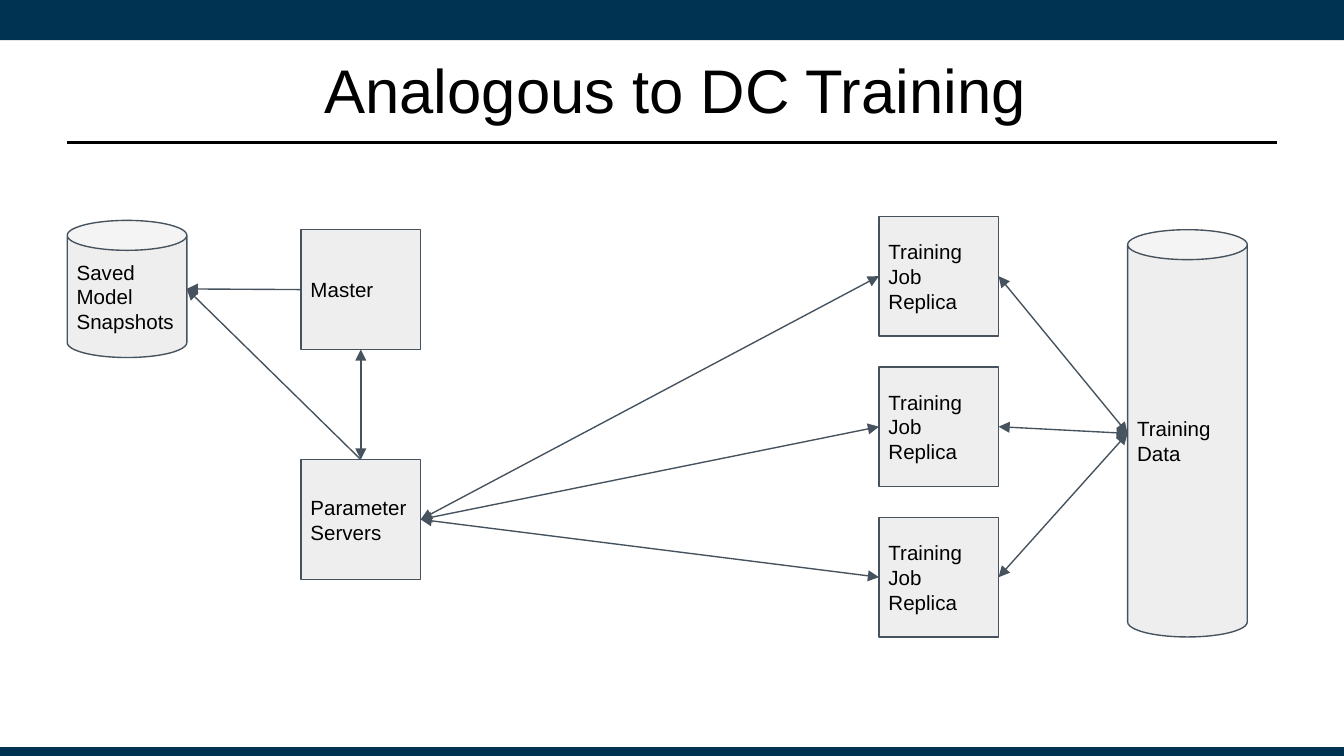
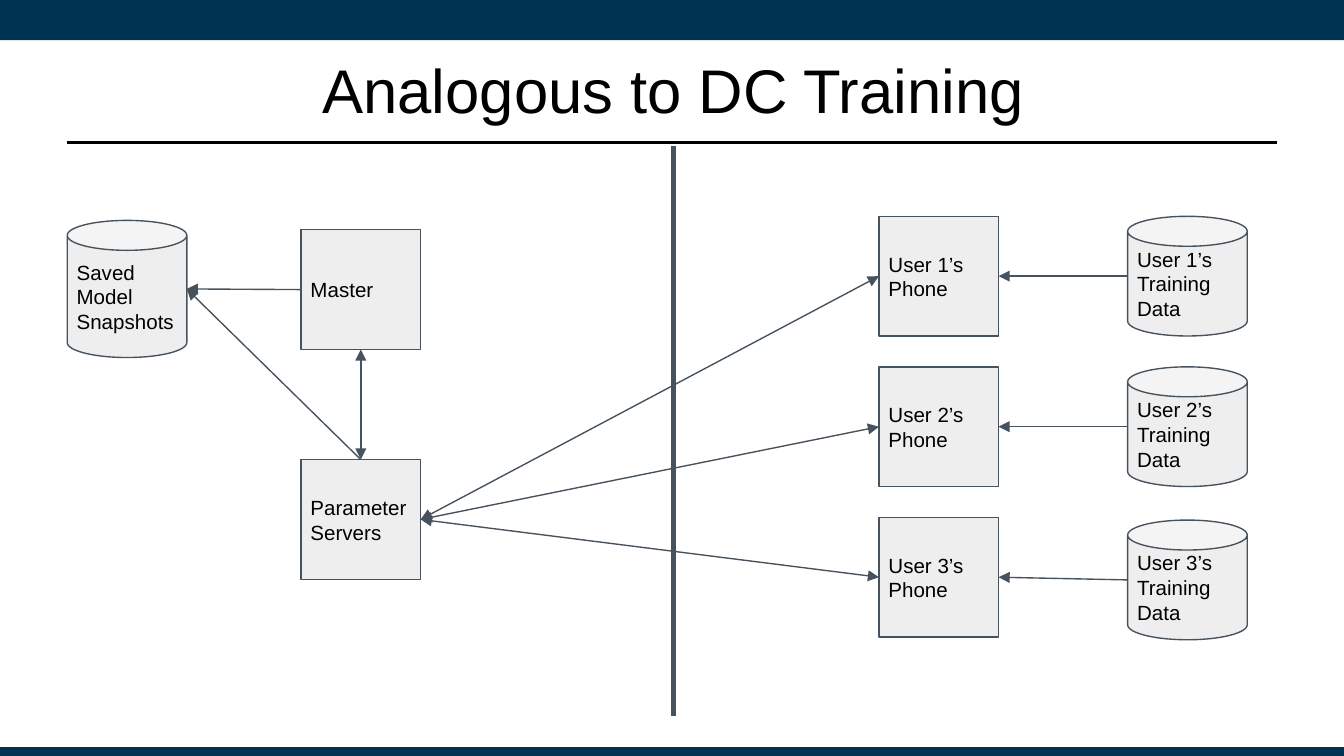
from dataclasses import dataclass

from lxml.etree import SubElement
from pptx import Presentation
from pptx.dml.color import RGBColor as RGB
from pptx.enum.shapes import MSO_CONNECTOR as Link, MSO_SHAPE as Kind
from pptx.enum.text import MSO_ANCHOR as Anchor, PP_ALIGN as Align
from pptx.oxml.ns import qn
from pptx.util import Inches, Pt


@dataclass(frozen=True)
class Theme:
    """Colours, type sizes and line widths of the deck."""
    band: RGB = RGB(0x00, 0x32, 0x52)
    ink: RGB = RGB(0, 0, 0)
    fill: RGB = RGB(0xEE, 0xEE, 0xEE)
    edge: RGB = RGB(0x46, 0x53, 0x5E)
    font: str = "Arial"
    title: float = 33
    label: float = 11
    thin: float = 0.75
    rule: float = 1.25
    thick: float = 3


THEME = Theme()
SIDE = 0.89
PAD = 0.07
JOB_X, DATA_X = 6.54, 8.39
JOB_TOPS = [1.61 + 1.12 * i for i in range(3)]


def write(shape, text, size, align=Align.LEFT, inset=PAD):
    """Put centred-height text with the theme font in a shape."""
    frame = shape.text_frame
    frame.word_wrap = True
    frame.vertical_anchor = Anchor.MIDDLE
    frame.margin_left = frame.margin_right = Inches(PAD)
    frame.margin_top = frame.margin_bottom = Inches(inset)
    frame.text = text
    for para in frame.paragraphs:
        para.alignment = align
        para.font.name = THEME.font
        para.font.size = Pt(size)
        para.font.color.rgb = THEME.ink


def block(slide, kind, left, top, width, height, fill):
    """Add a flat preset shape without an outline."""
    shape = slide.shapes.add_shape(
        kind, Inches(left), Inches(top), Inches(width), Inches(height))
    shape.shadow.inherit = False
    shape.fill.solid()
    shape.fill.fore_color.rgb = fill
    shape.line.fill.background()
    return shape


def node(slide, text, left, top, height=SIDE, kind=Kind.RECTANGLE):
    """Add a labelled box or store of the diagram."""
    shape = block(slide, kind, left, top, SIDE, height, THEME.fill)
    shape.line.color.rgb = THEME.edge
    shape.line.width = Pt(THEME.thin)
    write(shape, text, THEME.label)
    return shape


def store(slide, text, left, top, height=SIDE):
    """Add a cylinder that stands for stored data."""
    return node(slide, text, left, top, height, Kind.CAN)


def line(slide, start, end, color=THEME.edge, width=THEME.thin, tips=()):
    """Draw a straight line between two points, with optional tips."""
    link = slide.shapes.add_connector(Link.STRAIGHT, *start, *end)
    link.line.color.rgb = color
    link.line.width = Pt(width)
    stroke = link.line._get_or_add_ln()
    for tip in tips:
        SubElement(stroke, qn(f"a:{tip}"), type="triangle")
    SubElement(link._element.spPr, qn("a:effectLst"))


def arrow(slide, start, end, both=False):
    """Draw an arrow to the end point, or one that points both ways."""
    line(slide, start, end, tips=("headEnd", "tailEnd") if both else ("tailEnd",))


def point(left, top):
    """Turn a place in inches into a point."""
    return Inches(left), Inches(top)


def port(shape, across, down):
    """Give the point at a fraction of a shape's width and height."""
    return (int(shape.left + shape.width * across),
            int(shape.top + shape.height * down))


def west(shape):
    """Give the middle of the left side."""
    return port(shape, 0, 0.5)


def east(shape):
    """Give the middle of the right side."""
    return port(shape, 1, 0.5)


def base(deck, title, width):
    """Add a slide with bands, rule and a title of the given width."""
    slide = deck.slides.add_slide(deck.slide_layouts[6])
    for top, height in ((0, 0.3), (5.56, 0.08)):
        block(slide, Kind.RECTANGLE, 0, top, 10, height, THEME.band)
    line(slide, point(0.5, 1.06), point(9.5, 1.06), THEME.ink, THEME.rule)
    box = slide.shapes.add_textbox(
        Inches(0.54), Inches(0.31), Inches(width), Inches(0.7))
    write(box, title, THEME.title, Align.CENTER, 0.04)
    return slide


def server(slide, names):
    """Draw the server side and its jobs, and return the jobs."""
    jobs = [node(slide, name, JOB_X, top) for name, top in zip(names, JOB_TOPS)]
    params = node(slide, "Parameter Servers", 2.24, 3.42)
    master = node(slide, "Master", 2.24, 1.71)
    saved = store(slide, "Saved Model Snapshots", 0.5, 1.64, 1.02)
    for job in jobs:
        arrow(slide, east(params), west(job), both=True)
    arrow(slide, port(params, 0.5, 0), port(master, 0.5, 1), both=True)
    for start in (west(master), port(params, 0.5, 0)):
        arrow(slide, start, east(saved))
    return jobs


def central(deck, title):
    """Build the slide where all jobs share one data store."""
    slide = base(deck, title, 8.97)
    split = "Training Job\nReplica"
    jobs = server(slide, ["Training Job Replica", split, split])
    data = store(slide, "Training Data", DATA_X, 1.71, 3.03)
    for job in jobs:
        arrow(slide, east(job), west(data), both=True)


def phones(deck, title):
    """Build the slide where each phone has its own data."""
    slide = base(deck, title, 8.94)
    users = [f"User {i}’s" for i in (1, 2, 3)]
    jobs = server(slide, [f"{user} Phone" for user in users])
    line(slide, point(5.01, 1.09), point(5.01, 5.33), width=THEME.thick)
    for user, job, top in zip(users, jobs, (1.61, 2.73, 3.87)):
        data = store(slide, f"{user} Training Data", DATA_X, top)
        arrow(slide, west(data), east(job))


def main():
    """Build and save the deck."""
    deck = Presentation()
    deck.slide_width = Inches(10)
    deck.slide_height = deck.slide_width * 9 // 16
    title = "Analogous to DC Training"
    central(deck, title)
    phones(deck, title)
    deck.save("out.pptx")


if __name__ == "__main__":
    main()
